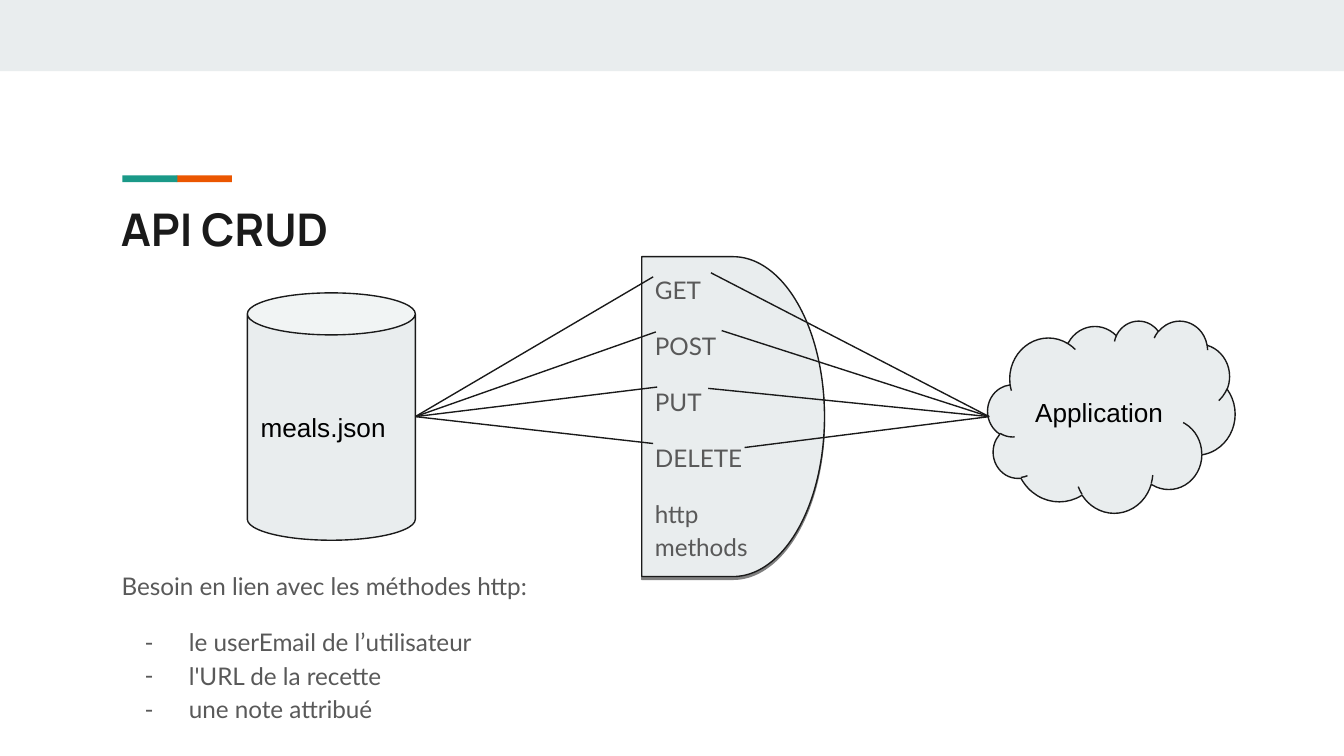
from lxml import etree
from pptx import Presentation
from pptx.dml.color import RGBColor
from pptx.enum.shapes import MSO_CONNECTOR, MSO_SHAPE
from pptx.enum.text import MSO_ANCHOR, MSO_AUTO_SIZE, PP_ALIGN
from pptx.oxml import parse_xml
from pptx.oxml.ns import nsdecls, qn
from pptx.util import Inches, Pt

RECTANGLE, DELAY = MSO_SHAPE.RECTANGLE, MSO_SHAPE.FLOWCHART_DELAY
CLOUD, CAN = MSO_SHAPE.CLOUD, MSO_SHAPE.CAN
STRAIGHT = MSO_CONNECTOR.STRAIGHT
TOP, MIDDLE = MSO_ANCHOR.TOP, MSO_ANCHOR.MIDDLE
LEFT, NO_AUTOFIT = PP_ALIGN.LEFT, MSO_AUTO_SIZE.NONE

THEME = {
    "panel": RGBColor.from_string("E9EDEE"),
    "teal": RGBColor.from_string("1A9988"),
    "orange": RGBColor.from_string("EB5600"),
    "outline": RGBColor.from_string("1A1A1A"),
    "title": ("Manrope", 24.1, RGBColor.from_string("1A1A1A")),
    "body": ("Lato", 13, RGBColor.from_string("595959")),
    "label": ("Arial", 14, RGBColor.from_string("000000")),
    "line": Pt(0.75),
    "gap": Pt(12),
}

presentation = Presentation()
presentation.slide_width = Inches(10)
presentation.slide_height = presentation.slide_width * 9 // 16
slide = presentation.slides.add_slide(presentation.slide_layouts[1])
CELL = presentation.slide_width / 100


def grid(*cells):
    return [round(cell * CELL) for cell in cells]


def write(shape, lines, style, spacing, anchor):
    frame = shape.text_frame
    frame.text = "\n".join(lines)
    frame.word_wrap = True
    frame.auto_size = NO_AUTOFIT
    frame.vertical_anchor = anchor
    frame.margin_left = frame.margin_right = frame.margin_top = frame.margin_bottom = round(CELL)
    name, size, color = THEME[style]
    for paragraph in frame.paragraphs:
        paragraph.alignment = LEFT
        paragraph.line_spacing = spacing
        paragraph.space_before = Pt(0)
        for run in paragraph.runs:
            run.font.name = name
            run.font.size = Pt(size)
            run.font.color.rgb = color
    return frame.paragraphs


bars = [
    ((0, 0, 100, 5.3), "panel"),
    ((13.15, 13.05, 4.1, 0.5), "orange"),
    ((9.1, 13.05, 4.1, 0.5), "teal"),
]
for cells, color in bars:
    bar = slide.shapes.add_shape(RECTANGLE, *grid(*cells))
    bar.shadow.inherit = False
    bar.fill.solid()
    bar.fill.fore_color.rgb = THEME[color]
    bar.line.fill.background()

title = slide.shapes.title
title.left, title.top, title.width, title.height = grid(8, 14.45, 84.1, 5.9)
for paragraph in write(title, ["API CRUD"], "title", 0.9, TOP):
    paragraph.runs[0].font.bold = True

methods = ["GET", "POST", "PUT", "DELETE", "http methods"]
nodes = [
    (DELAY, (47.75, 19.1, 13.6, 23.8), methods, "body", 1.15),
    (CLOUD, (73.5, 23.85, 18.4, 14.3), ["Application"], "label", 1),
    (CAN, (18.4, 21.8, 12.5, 18.4), ["meals.json"], "label", 1),
]
for kind, cells, lines, style, spacing in nodes:
    node = slide.shapes.add_shape(kind, *grid(*cells))
    node.shadow.inherit = False
    node.fill.solid()
    node.fill.fore_color.rgb = THEME["panel"]
    node.line.color.rgb = THEME["outline"]
    node.line.width = THEME["line"]
    paragraphs = write(node, lines, style, spacing, MIDDLE)
    for paragraph in paragraphs[1:]:
        paragraph.space_before = THEME["gap"]
    if kind == DELAY:
        paragraphs[-1].space_after = THEME["gap"]
        effects = node._element.spPr.find(qn("a:effectLst"))
        effects.append(parse_xml(
            f'<a:outerShdw {nsdecls("a")} dist="{Pt(1.5)}" dir="5400000" algn="bl" rotWithShape="0">'
            '<a:srgbClr val="000000"><a:alpha val="50000"/></a:srgbClr></a:outerShdw>'))

links = {
    (30.9, 31): [(48.6, 20.6), (48.8, 24.7), (48.9, 28.8), (48.6, 33)],
    (73.6, 31): [(52.9, 20.3), (53.7, 24.6), (52.7, 28.9), (55.4, 33.3)],
}
for hub, ends in links.items():
    for end in ends:
        link = slide.shapes.add_connector(STRAIGHT, *grid(*hub, *end))
        link.line.color.rgb = THEME["outline"]
        link.line.width = THEME["line"]
        etree.SubElement(link._element.spPr, qn("a:effectLst"))

body = slide.placeholders[1]
body.left, body.top, body.width, body.height = grid(8.05, 41.2, 33.2, 15.05)
needs = [
    "Besoin en lien avec les méthodes http:",
    "le userEmail de l’utilisateur",
    "l'URL de la recette",
    "une note attribué",
]
intro, *items = write(body, needs, "body", 1.15, TOP)
properties = intro._p.get_or_add_pPr()
properties.set("marL", "0")
properties.set("indent", "0")
etree.SubElement(properties, qn("a:buNone"))
for paragraph in items:
    properties = paragraph._p.get_or_add_pPr()
    properties.set("marL", str(Inches(0.5)))
    properties.set("indent", str(Inches(-0.33)))
    color = etree.SubElement(properties, qn("a:buClr"))
    etree.SubElement(color, qn("a:srgbClr"), val=str(THEME["body"][2]))
    etree.SubElement(properties, qn("a:buFont"), typeface=THEME["body"][0])
    etree.SubElement(properties, qn("a:buChar"), char="-")
items[0].space_before = THEME["gap"]

presentation.save("out.pptx")
